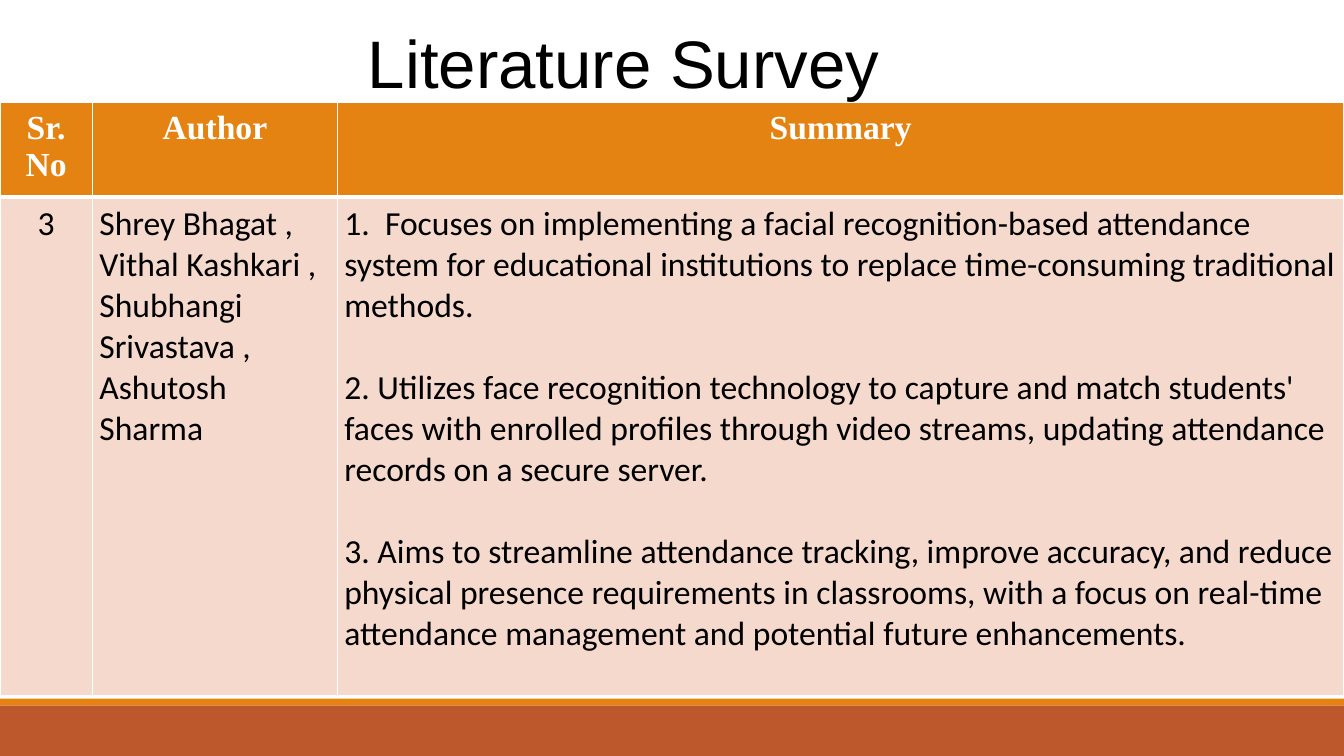
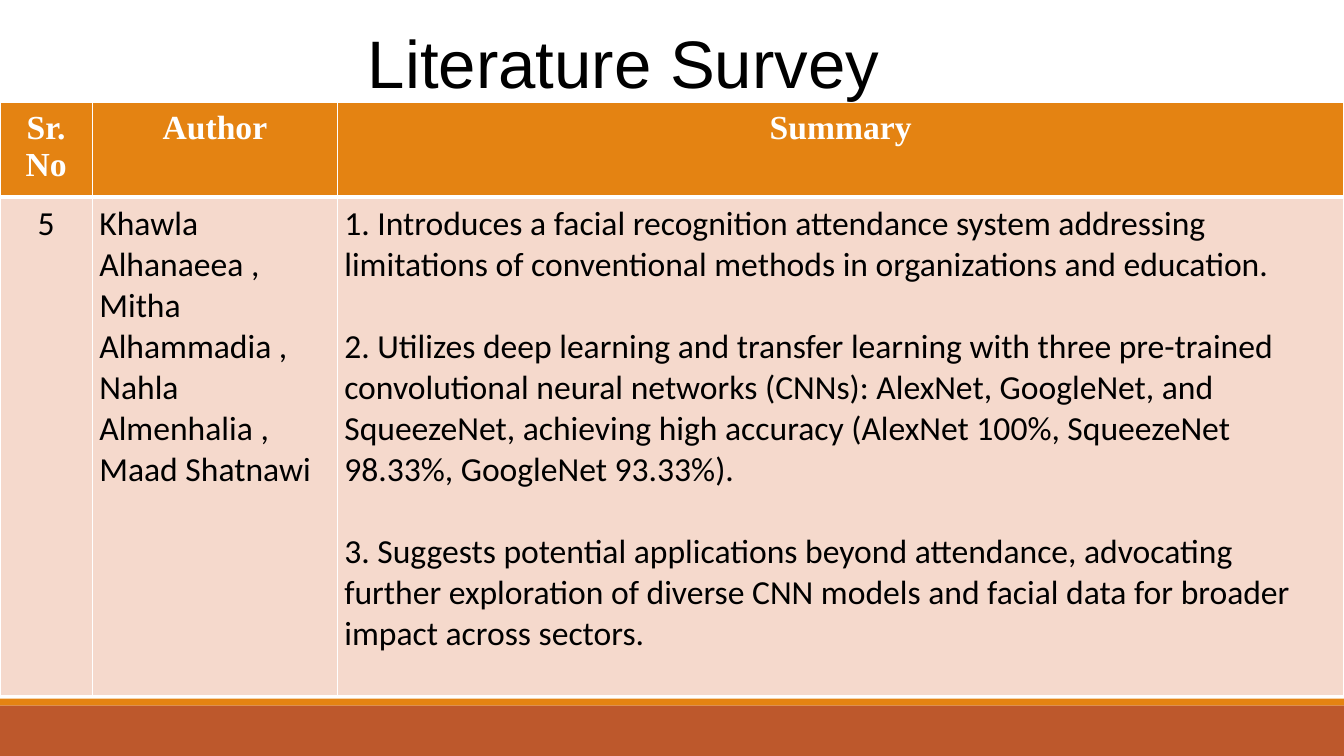
"""Build the literature survey slides."""
from lxml.etree import SubElement
from pptx import Presentation
from pptx.dml.color import RGBColor
from pptx.enum.shapes import MSO_SHAPE
from pptx.enum.text import MSO_ANCHOR, MSO_AUTO_SIZE, PP_ALIGN
from pptx.oxml.ns import qn
from pptx.util import Pt

COLORS = {
    "orange": "E48312",
    "rust": "BD582C",
    "blush": "F5D9CC",
    "white": "FFFFFF",
    "black": "000000",
}
SLIDE_WIDTH, SLIDE_HEIGHT = 960, 540
TITLE_BOX = (255.6, 10.8, 448.6, 65.5)
TABLE_BOX = (0, 73.5, SLIDE_WIDTH, 423.5)
FOOTER_BOX = (0, 499, SLIDE_WIDTH, 41)
STRIPE_HEIGHT = 5
NUMBER_WIDTH, AUTHOR_WIDTH = 66, 175
HEADER_HEIGHT = 67
BODY_LINE = 29.3

TITLE_FONT = {"name": "Arial", "size": Pt(48), "bold": False}
HEADER_FONT = {"name": "Times New Roman", "size": Pt(24), "bold": True}
BODY_FONT = {"name": "Calibri", "size": Pt(24), "bold": False}
TITLE_FRAME = {
    "word_wrap": True,
    "auto_size": MSO_AUTO_SIZE.NONE,
    "vertical_anchor": MSO_ANCHOR.BOTTOM,
}
CELL_FORMAT = {
    "margin_left": Pt(5),
    "margin_right": Pt(5),
    "margin_top": Pt(5),
    "margin_bottom": Pt(5),
    "vertical_anchor": MSO_ANCHOR.TOP,
}
HEADER_BORDERS = {"a:lnL": 1, "a:lnR": 1, "a:lnT": 1, "a:lnB": 3}
BODY_BORDERS = {"a:lnL": 1, "a:lnR": 1, "a:lnT": 3, "a:lnB": 1}

TITLE = "Literature Survey"
HEADINGS = ("Sr. No", "Author", "Summary")
PAPERS = [
    (
        "3",
        "Shrey Bhagat , Vithal Kashkari , Shubhangi Srivastava , Ashutosh Sharma",
        [
            "1.  Focuses on implementing a facial recognition-based attendance system "
            "for educational institutions to replace time-consuming traditional methods.",
            "2. Utilizes face recognition technology to capture and match students' "
            "faces with enrolled profiles through video streams, updating attendance "
            "records on a secure server.",
            "3. Aims to streamline attendance tracking, improve accuracy, and reduce "
            "physical presence requirements in classrooms, with a focus on real-time "
            "attendance management and potential future enhancements.",
        ],
    ),
    (
        "5",
        "Khawla Alhanaeea , Mitha Alhammadia , Nahla Almenhalia , Maad Shatnawi",
        [
            "1. Introduces a facial recognition attendance system addressing "
            "limitations of conventional methods in organizations and education.",
            "2. Utilizes deep learning and transfer learning with three pre-trained "
            "convolutional neural networks (CNNs): AlexNet, GoogleNet, and SqueezeNet, "
            "achieving high accuracy (AlexNet 100%, SqueezeNet 98.33%, GoogleNet 93.33%).",
            "3. Suggests potential applications beyond attendance, advocating further "
            "exploration of diverse CNN models and facial data for broader impact "
            "across sectors.",
        ],
    ),
]


def apply_format(target, values):
    """Set each attribute of the target from a dict of values."""
    for name, value in values.items():
        setattr(target, name, value)


def paint(fill, color):
    """Give a fill one solid colour."""
    fill.solid()
    fill.fore_color.rgb = RGBColor.from_string(COLORS[color])


def write_paragraph(paragraph, text, font, color, alignment):
    """Write one formatted run into a paragraph."""
    paragraph.alignment = alignment
    run = paragraph.add_run()
    run.text = text
    apply_format(run.font, font)
    run.font.color.rgb = RGBColor.from_string(COLORS[color])


def add_title(slide, box):
    """Place the title placeholder in its box."""
    title = slide.shapes.title
    apply_format(title, dict(zip(("left", "top", "width", "height"), map(Pt, box))))
    apply_format(title.text_frame, TITLE_FRAME)
    write_paragraph(title.text_frame.paragraphs[0], TITLE, TITLE_FONT, "black", PP_ALIGN.LEFT)


def add_footer(slide, box):
    """Draw the thin stripe and the band that fill the footer box."""
    left, top, width, height = box
    bands = [
        (top, STRIPE_HEIGHT, "orange"),
        (top + STRIPE_HEIGHT, height - STRIPE_HEIGHT, "rust"),
    ]
    for band_top, band_height, color in bands:
        band = slide.shapes.add_shape(
            MSO_SHAPE.RECTANGLE, Pt(left), Pt(band_top), Pt(width), Pt(band_height)
        )
        band.shadow.inherit = False
        band.line.fill.background()
        paint(band.fill, color)


def add_borders(cell, borders):
    """Draw white borders of the given widths around a cell."""
    properties = cell._tc.get_or_add_tcPr()
    for tag, width in borders.items():
        line = SubElement(properties, qn(tag), w=str(Pt(width)))
        fill = SubElement(line, qn("a:solidFill"))
        SubElement(fill, qn("a:srgbClr"), val=COLORS["white"])


def fill_cell(cell, texts, font, color, alignment, background, borders):
    """Format a cell and write its paragraphs, one blank line apart."""
    apply_format(cell, CELL_FORMAT)
    add_borders(cell, borders)
    paint(cell.fill, background)
    frame = cell.text_frame
    for index, text in enumerate(texts):
        paragraph = frame.add_paragraph() if index else frame.paragraphs[0]
        write_paragraph(paragraph, text, font, color, alignment)
        if index:
            paragraph.space_before = Pt(BODY_LINE)


def add_survey_table(slide, box, paper):
    """Build the table of one paper within the box."""
    left, top, width, height = box
    table = slide.shapes.add_table(2, 3, Pt(left), Pt(top), Pt(width), Pt(height)).table
    widths = (NUMBER_WIDTH, AUTHOR_WIDTH, width - NUMBER_WIDTH - AUTHOR_WIDTH)
    for column, column_width in zip(table.columns, widths):
        column.width = Pt(column_width)
    for row, row_height in zip(table.rows, (HEADER_HEIGHT, height - HEADER_HEIGHT)):
        row.height = Pt(row_height)
    number, authors, summary = paper
    alignments = (PP_ALIGN.CENTER, PP_ALIGN.LEFT, PP_ALIGN.LEFT)
    bodies = ([number], [authors], summary)
    for index, (heading, body, alignment) in enumerate(zip(HEADINGS, bodies, alignments)):
        fill_cell(table.cell(0, index), [heading], HEADER_FONT, "white",
                  PP_ALIGN.CENTER, "orange", HEADER_BORDERS)
        fill_cell(table.cell(1, index), body, BODY_FONT, "black",
                  alignment, "blush", BODY_BORDERS)


def add_survey_slide(presentation, paper):
    """Add one slide for a surveyed paper."""
    slide = presentation.slides.add_slide(presentation.slide_layouts[5])
    paint(slide.background.fill, "white")
    add_footer(slide, FOOTER_BOX)
    add_survey_table(slide, TABLE_BOX, paper)
    add_title(slide, TITLE_BOX)


def main():
    """Build and save the presentation."""
    presentation = Presentation()
    presentation.slide_width = Pt(SLIDE_WIDTH)
    presentation.slide_height = Pt(SLIDE_HEIGHT)
    for paper in PAPERS:
        add_survey_slide(presentation, paper)
    presentation.save("out.pptx")


if __name__ == "__main__":
    main()
